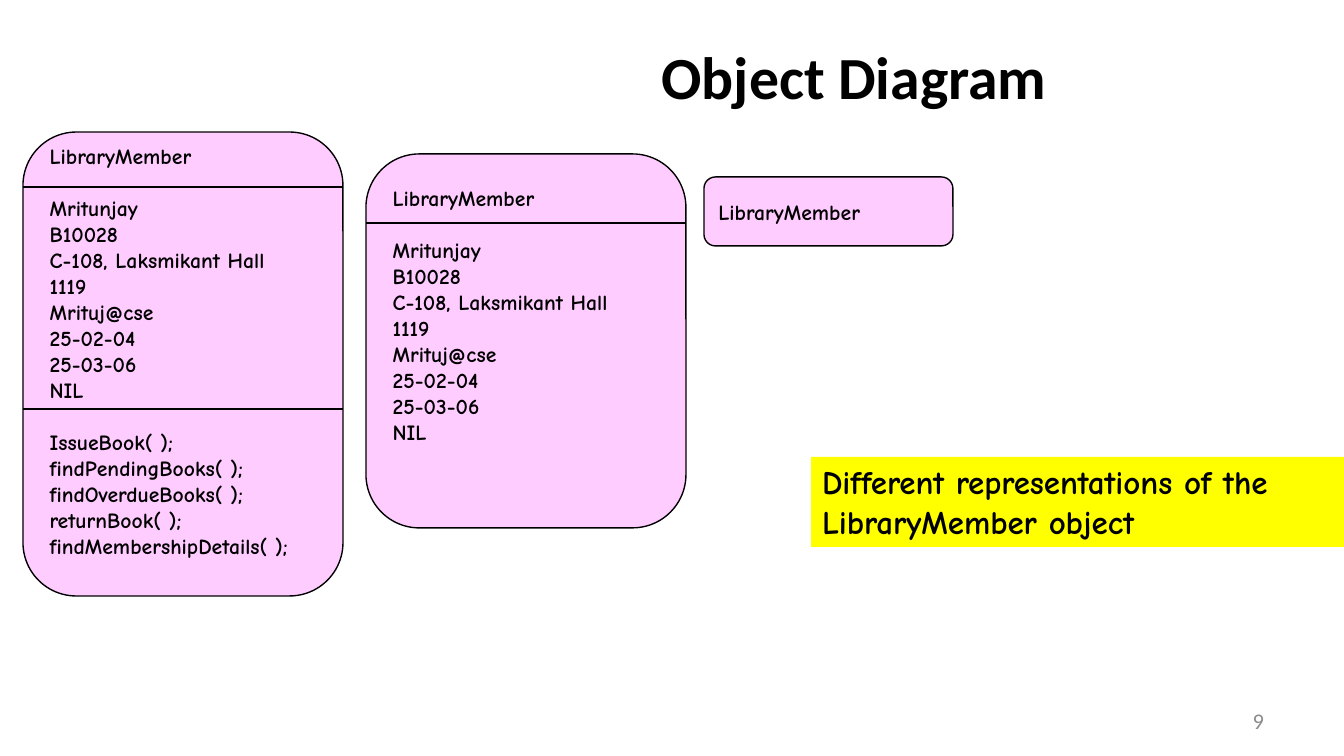
from dataclasses import dataclass

import pptx
import pptx.dml.color
import pptx.enum.shapes
import pptx.enum.text
import pptx.oxml.ns
import pptx.util
from lxml import etree

EMU_PER_PX = 914400 / 134.4
COLORS = {"ink": "000000", "object": "FFCCFF", "caption": "FFFF00", "number": "8C8C8C"}
ALIGN = pptx.enum.text.PP_ALIGN
ANCHOR = pptx.enum.text.MSO_ANCHOR
SHAPE = pptx.enum.shapes.MSO_SHAPE
LINE_PX = 26  # one text line inside an object box

NAME = ["LibraryMember"]
VALUES = ["Mritunjay", "B10028", "C-108, Laksmikant Hall", "1119",
          "Mrituj@cse", "25-02-04", "25-03-06", "NIL"]
METHODS = ["IssueBook( );", "findPendingBooks( );", "findOverdueBooks( );",
           "returnBook( );", "findMembershipDetails( );"]


@dataclass
class ObjectBox:
    left: int
    top: int
    width: int
    height: int
    sections: list[list[str]]
    dividers: tuple[int, ...] = ()
    lines_below: int = 0


OBJECTS = [
    ObjectBox(23, 132, 320, 464, [NAME, VALUES, METHODS], (187, 409), 1),
    ObjectBox(366, 154, 320, 374, [NAME, VALUES], (223,), 2),
    ObjectBox(704, 177, 249, 69, [NAME]),
]


def px(length: int) -> pptx.util.Emu:
    return pptx.util.Emu(round(length * EMU_PER_PX))


def rgb(name: str) -> pptx.dml.color.RGBColor:
    return pptx.dml.color.RGBColor.from_string(COLORS[name])


def set_frame(frame, anchor, side: int = 11, bottom: int = 5) -> None:
    values = {"word_wrap": True, "vertical_anchor": anchor,
              "margin_left": px(side), "margin_right": px(side),
              "margin_top": px(5), "margin_bottom": px(bottom)}
    for key, value in values.items():
        setattr(frame, key, value)


def write(paragraph, text: str, size: float, font: str = "Comic Neue",
          bold: bool = True, color: str = "ink", align=ALIGN.LEFT) -> None:
    run = paragraph.add_run()
    run.text = text
    paragraph.alignment = align
    values = {"name": font, "size": pptx.util.Pt(size), "bold": bold}
    for key, value in values.items():
        setattr(run.font, key, value)
    run.font.color.rgb = rgb(color)


def add_filled(shapes, kind, bounds: tuple[int, int, int, int], fill: str):
    shape = shapes.add_shape(kind, *map(px, bounds))
    shape.shadow.inherit = False
    shape.fill.solid()
    shape.fill.fore_color.rgb = rgb(fill)
    return shape


def set_line(line) -> None:
    line.color.rgb = rgb("ink")
    line.width = pptx.util.Pt(0.75)


def draw_object(shapes, box: ObjectBox) -> None:
    body = add_filled(shapes, SHAPE.ROUNDED_RECTANGLE,
                      (box.left, box.top, box.width, box.height), "object")
    set_line(body.line)
    frame = body.text_frame
    set_frame(frame, ANCHOR.MIDDLE, bottom=5 + box.lines_below * LINE_PX)
    for section_index, section in enumerate(box.sections):
        for line_index, text in enumerate(section):
            first = section_index == line_index == 0
            paragraph = frame.paragraphs[0] if first else frame.add_paragraph()
            write(paragraph, text, 11.6)
            if section_index and not line_index:
                paragraph.space_before = px(LINE_PX)
    for y in box.dividers:
        divider = shapes.add_connector(
            pptx.enum.shapes.MSO_CONNECTOR.STRAIGHT,
            px(box.left), px(y), px(box.left + box.width), px(y))
        set_line(divider.line)
        etree.SubElement(divider._element.spPr, pptx.oxml.ns.qn("a:effectLst"))


def main() -> None:
    deck = pptx.Presentation()
    deck.slide_width, deck.slide_height = px(1344), px(756)
    slide = deck.slides.add_slide(deck.slide_layouts[5])
    shapes = slide.shapes

    # Title
    title = shapes.title
    title.left, title.top, title.width, title.height = map(px, (628, 17, 439, 125))
    set_frame(title.text_frame, ANCHOR.MIDDLE, side=1)
    heading = title.text_frame.paragraphs[0]
    heading.line_spacing = 0.94
    heading.space_before = pptx.util.Pt(9.3)
    write(heading, " Object Diagram", 32, "Calibri", align=ALIGN.CENTER)

    # Caption
    caption = add_filled(shapes, SHAPE.RECTANGLE, (811, 457, 533, 90), "caption")
    caption.line.fill.background()
    set_frame(caption.text_frame, ANCHOR.TOP)
    write(caption.text_frame.paragraphs[0],
          "Different representations of the LibraryMember object", 17.7)

    # Three representations of the object
    for box in OBJECTS:
        draw_object(shapes, box)

    # Slide number
    number = shapes.add_textbox(*map(px, (964, 701, 313, 40)))
    set_frame(number.text_frame, ANCHOR.MIDDLE, side=13)
    write(number.text_frame.paragraphs[0], "9", 12, "Calibri", False, "number", ALIGN.RIGHT)

    deck.save("out.pptx")


if __name__ == "__main__":
    main()
